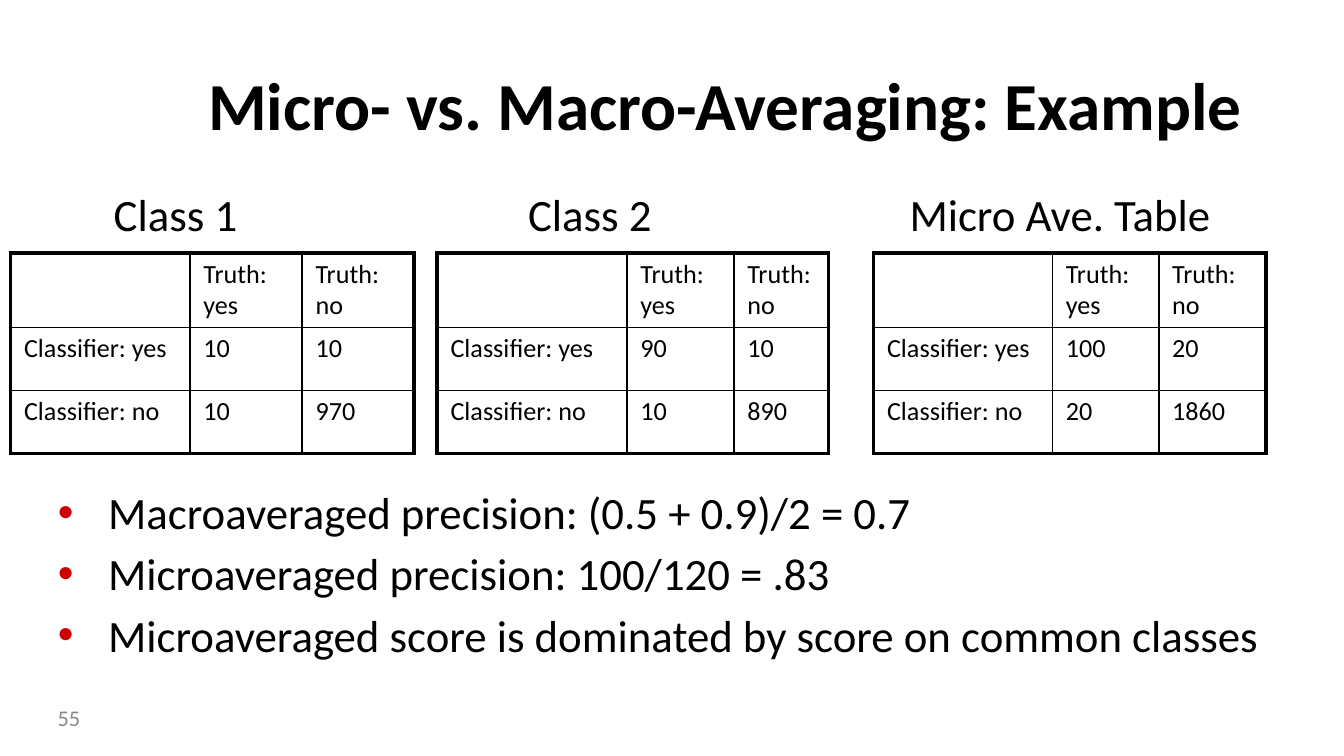
from lxml import etree
from pptx import Presentation
from pptx import util as u
from pptx.dml.color import RGBColor
from pptx.enum import text
from pptx.oxml import ns

FONT = "Calibri"
COLORS = {"ink": "000000", "bullet": "CC0000", "number": "898989"}
THICK, THIN = 2.25, 1
MATRICES = [
    {"label": "Class 1", "label_box": (1.9, 3.4, 5.08, 1.27),
     "corner": (0.2, 4.78), "columns": (3.39, 2.12, 2.12),
     "counts": [("10", "10"), ("10", "970")]},
    {"label": "Class 2", "label_box": (9.73, 3.4, 5.08, 1.27),
     "corner": (8.26, 4.78), "columns": (3.59, 2.02, 1.79),
     "counts": [("90", "10"), ("10", "890")]},
    {"label": "Micro Ave. Table", "label_box": (16.94, 3.4, 7.42, 1.27),
     "corner": (16.51, 4.78), "columns": (3.38, 2.01, 2.03),
     "counts": [("100", "20"), ("20", "1860")]},
]
ROW_HEIGHTS = (1.41, 1.19, 1.19)
FINDINGS = [
    "Macroaveraged precision: (0.5 + 0.9)/2 = 0.7",
    "Microaveraged precision: 100/120 = .83",
    "Microaveraged score is dominated by score on common classes",
]


def place(shape, box):
    """Move and size a shape to a box given in centimetres."""
    shape.left, shape.top, shape.width, shape.height = map(u.Cm, box)


def format_text(frame, size, color="ink", bold=False):
    """Left-align every paragraph and style its runs."""
    for paragraph in frame.paragraphs:
        paragraph.alignment = text.PP_ALIGN.LEFT
        for run in paragraph.runs:
            run.font.name = FONT
            run.font.size = u.Pt(size)
            run.font.bold = bold
            run.font.color.rgb = RGBColor.from_string(COLORS[color])


def add_label(slide, box, words, size, color="ink", anchor=text.MSO_ANCHOR.TOP):
    """Add a wrapped text box holding one line."""
    frame = slide.shapes.add_textbox(*map(u.Cm, box)).text_frame
    frame.word_wrap = True
    frame.vertical_anchor = anchor
    frame.text = words
    format_text(frame, size, color)


def set_borders(cell, widths):
    """Draw the left, right, top and bottom borders of a cell."""
    properties = cell._tc.get_or_add_tcPr()
    for index, (side, width) in enumerate(zip("LRTB", widths)):
        line = etree.Element(ns.qn(f"a:ln{side}"), w=str(u.Pt(width)))
        fill = etree.SubElement(line, ns.qn("a:solidFill"))
        etree.SubElement(fill, ns.qn("a:srgbClr"), val=COLORS["ink"])
        properties.insert(index, line)


def add_matrix(slide, corner, columns, counts):
    """Add a confusion matrix with a thick frame and thin inner lines."""
    rows = [("", "Truth: yes", "Truth: no"),
            ("Classifier: yes", *counts[0]),
            ("Classifier: no", *counts[1])]
    box = (*corner, sum(columns), sum(ROW_HEIGHTS))
    table = slide.shapes.add_table(len(rows), len(columns), *map(u.Cm, box)).table
    table.first_row = table.horz_banding = False
    for column, width in zip(table.columns, columns):
        column.width = u.Cm(width)
    for row, height in zip(table.rows, ROW_HEIGHTS):
        row.height = u.Cm(height)
    last_row, last_column = len(rows) - 1, len(columns) - 1
    for r, row in enumerate(rows):
        for c, words in enumerate(row):
            cell = table.cell(r, c)
            cell.margin_top = cell.margin_bottom = u.Cm(0.1)
            cell.text = words
            format_text(cell.text_frame, 14)
            cell.fill.background()
            outer = (c == 0, c == last_column, r == 0, r == last_row)
            set_borders(cell, [THICK if edge else THIN for edge in outer])


def fill_title(shape, box):
    """Place and write the slide title."""
    place(shape, box)
    frame = shape.text_frame
    frame.text = "Micro- vs. Macro-Averaging: Example"
    frame.auto_size = text.MSO_AUTO_SIZE.NONE
    frame.vertical_anchor = text.MSO_ANCHOR.BOTTOM
    format_text(frame, 36, bold=True)


def fill_findings(shape, box):
    """Place and write the bulleted findings."""
    place(shape, box)
    frame = shape.text_frame
    frame.text = "\n".join(FINDINGS)
    frame.auto_size = text.MSO_AUTO_SIZE.NONE
    format_text(frame, 24)
    for paragraph in frame.paragraphs:
        paragraph.space_before = u.Pt(4)
        properties = paragraph._p.get_or_add_pPr()
        properties.set("marL", str(u.Cm(0.95)))
        properties.set("indent", str(u.Cm(-0.95)))
        color = etree.SubElement(properties, ns.qn("a:buClr"))
        etree.SubElement(color, ns.qn("a:srgbClr"), val=COLORS["bullet"])
        etree.SubElement(properties, ns.qn("a:buFont"), typeface="Arial")
        etree.SubElement(properties, ns.qn("a:buChar"), char="•")


def main():
    """Build the slide and save it."""
    presentation = Presentation()
    presentation.slide_width, presentation.slide_height = u.Cm(25.4), u.Cm(14.29)
    slide = presentation.slides.add_slide(presentation.slide_layouts[1])
    fill_title(slide.shapes.title, (3.68, 0.79, 21.31, 2.06))
    for matrix in MATRICES:
        add_label(slide, matrix["label_box"], matrix["label"], 24)
        add_matrix(slide, matrix["corner"], matrix["columns"], matrix["counts"])
    fill_findings(slide.placeholders[1], (0.84, 9.04, 23.7, 4.65))
    add_label(slide, (0.84, 13.08, 5.51, 0.97), "55", 12, "number",
              text.MSO_ANCHOR.MIDDLE)
    presentation.save("out.pptx")


if __name__ == "__main__":
    main()
